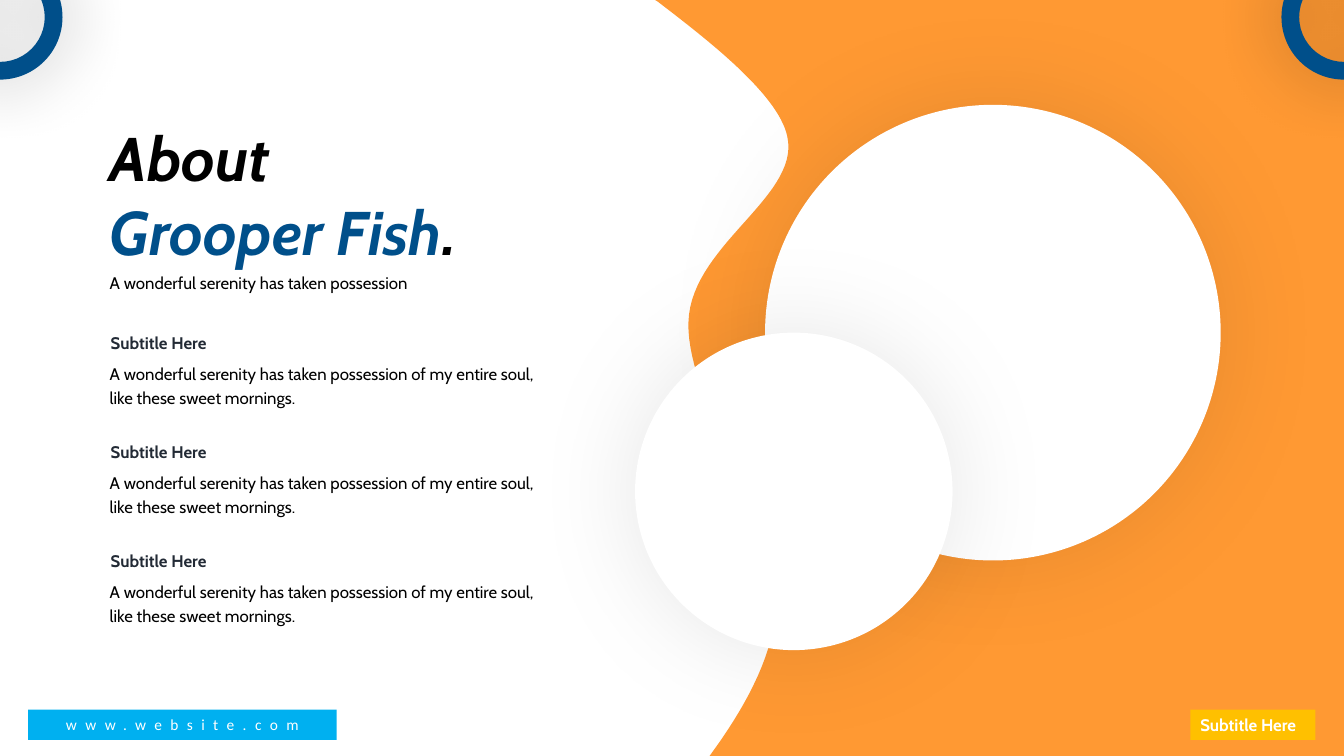
"""Build the "About Grooper Fish." slide with its wave, circles and subtitle list."""
from dataclasses import dataclass
from typing import Optional

from lxml.etree import SubElement
from pptx import Presentation
from pptx.dml.color import RGBColor
from pptx.enum.shapes import MSO_SHAPE as Preset
from pptx.enum.text import MSO_ANCHOR as Anchor, MSO_AUTO_SIZE as Fit, PP_ALIGN as Align
from pptx.oxml.ns import qn
from pptx.util import Inches, Pt

COLUMNS, ROWS = 40, 22.5
CELL = Inches(13.333) / COLUMNS


@dataclass(frozen=True)
class Theme:
    orange: str = "FF9933"
    navy: str = "004F8A"
    sky: str = "00B0F0"
    amber: str = "FFC000"
    slate: str = "222A35"
    black: str = "000000"
    white: str = "FFFFFF"
    font: str = "Cabin"
    link_font: str = "Calibri"
    title_size: int = 44
    body_size: int = 12
    link_size: int = 11


THEME = Theme()


@dataclass(frozen=True)
class Area:
    column: float
    row: float
    columns: float
    rows: float


@dataclass(frozen=True)
class Shadow:
    opacity: int
    blur: int


@dataclass(frozen=True)
class Disc:
    preset: Preset
    area: Area
    color: str
    shadow: Shadow
    ring: Optional[float] = None


@dataclass(frozen=True)
class Style:
    color: str = THEME.black
    size: int = THEME.body_size
    font: str = THEME.font
    bold: bool = False
    italic: bool = False
    spacing: int = 0


@dataclass(frozen=True)
class Note:
    area: Area
    text: str
    style: Style
    leading: float


SOFT = Shadow(9, 77)
DEEP = Shadow(33, 49)
RING_SIZE, RING_TOP, RING_WIDTH = 3.72, -1.35, 0.142
CIRCLES = [
    Disc(Preset.OVAL, Area(22.77, 3.12, 13.56, 13.56), THEME.white, SOFT),
    Disc(Preset.OVAL, Area(18.9, 9.9, 9.45, 9.45), THEME.white, SOFT),
]
RINGS = [
    Disc(Preset.DONUT, Area(center - RING_SIZE / 2, RING_TOP, RING_SIZE, RING_SIZE),
         THEME.navy, DEEP, RING_WIDTH)
    for center in (0, COLUMNS)
]

WAVE_START = (19.59, 0.06)
WAVE_CURVES = [
    ((21.12, 1.23), (23.16, 2.82), (23.43, 4.05)),
    ((23.85, 5.85), (20.55, 7.29), (20.49, 9.6)),
    ((20.43, 11.91), (23.13, 15.57), (23.1, 17.94)),
    ((23.07, 19.41), (22.23, 20.91), (21.42, 22.08)),
]
CURVE_STEPS = 30

LEFT = 2.97
FIRST_ITEM, ITEM_STEP, HEAD_TO_BODY = 9.57, 3.24, 0.99
ITEM_COUNT = 3
INTRO = "A wonderful serenity has taken possession"
ITEM_HEAD = "Subtitle Here"
ITEM_BODY = f"{INTRO} of my entire soul, like these sweet mornings."


def place(shape, area: Area) -> None:
    """Move and size a shape on the grid."""
    shape.left, shape.top = round(area.column * CELL), round(area.row * CELL)
    shape.width, shape.height = round(area.columns * CELL), round(area.rows * CELL)


def paint(shape, color: str) -> None:
    """Give a shape a plain fill with no line or shadow."""
    shape.shadow.inherit = False
    shape.fill.solid()
    shape.fill.fore_color.rgb = RGBColor.from_string(color)
    shape.line.fill.background()


def add_preset(page, preset: Preset, area: Area, color: str):
    """Add a painted preset shape."""
    shape = page.shapes.add_shape(preset, 0, 0, 0, 0)
    place(shape, area)
    paint(shape, color)
    return shape


def add_disc(page, disc: Disc) -> None:
    """Add a circle or ring with a blurred glow of shadow."""
    shape = add_preset(page, disc.preset, disc.area, disc.color)
    if disc.ring is not None:
        shape.adjustments[0] = disc.ring
    effects = shape.element.spPr.find(qn("a:effectLst"))
    outer = SubElement(effects, qn("a:outerShdw"), blurRad=str(Pt(disc.shadow.blur)),
                       dist="0", dir="0", algn="ctr", rotWithShape="0")
    color = SubElement(outer, qn("a:srgbClr"), val=THEME.black)
    SubElement(color, qn("a:alpha"), val=str(disc.shadow.opacity * 1000))


def add_span(para, text: str, style: Style) -> None:
    """Add one styled run to a paragraph."""
    span = para.add_run()
    span.text = text
    span.font.name = style.font
    span.font.size = Pt(style.size)
    span.font.bold, span.font.italic = style.bold, style.italic
    span.font.color.rgb = RGBColor.from_string(style.color)
    if style.spacing:
        span.font._element.set("spc", str(style.spacing * 100))


def add_note(page, note: Note) -> None:
    """Add a wrapped text box with one paragraph."""
    box = page.shapes.add_textbox(0, 0, 0, 0)
    place(box, note.area)
    box.text_frame.word_wrap = True
    box.text_frame.auto_size = Fit.SHAPE_TO_FIT_TEXT
    para = box.text_frame.paragraphs[0]
    para.line_spacing = note.leading
    add_span(para, note.text, note.style)


def add_wave(page) -> None:
    """Add the orange panel with its wavy left edge."""
    points = [WAVE_START]
    for first, second, end in WAVE_CURVES:
        start = points[-1]
        for step in range(1, CURVE_STEPS + 1):
            t = step / CURVE_STEPS
            u = 1 - t
            points.append(tuple(
                u**3 * a + 3 * u * u * t * b + 3 * u * t * t * c + t**3 * d
                for a, b, c, d in zip(start, first, second, end)))
    points += [(21.12, ROWS), (COLUMNS, ROWS), (COLUMNS, 0)]
    outline = page.shapes.build_freeform(round(19.5 * CELL), 0)
    outline.add_line_segments([(round(x * CELL), round(y * CELL)) for x, y in points])
    paint(outline.convert_to_shape(), THEME.orange)


def set_title(page) -> None:
    """Fill and format the title placeholder."""
    title = page.shapes.title
    place(title, Area(LEFT, 3.42, 15.66, 4.74))
    frame = title.text_frame
    frame.word_wrap, frame.vertical_anchor = True, Anchor.TOP
    frame.auto_size = Fit.SHAPE_TO_FIT_TEXT
    lines = [[("About", THEME.black)],
             [("Grooper Fish", THEME.navy), (".", THEME.black)]]
    for index, line in enumerate(lines):
        para = frame.add_paragraph() if index else frame.paragraphs[0]
        para.alignment = Align.LEFT
        for text, color in line:
            add_span(para, text, Style(color, THEME.title_size, bold=True, italic=True))


def add_label(page, area: Area, color: str, text: str, style: Style,
              align: Align, anchor: Anchor, wrap: bool) -> None:
    """Add a filled footer bar with text."""
    bar = add_preset(page, Preset.RECTANGLE, area, color)
    frame = bar.text_frame
    frame.word_wrap, frame.vertical_anchor = wrap, anchor
    frame.paragraphs[0].alignment = align
    add_span(frame.paragraphs[0], text, style)


def main() -> None:
    """Build and save the deck."""
    deck = Presentation()
    deck.slide_width, deck.slide_height = Inches(13.333), Inches(7.5)
    page = deck.slides.add_slide(deck.slide_layouts[5])
    set_title(page)
    add_wave(page)
    for circle in CIRCLES:
        add_disc(page, circle)
    add_note(page, Note(Area(LEFT, 7.68, 13.26, 1.11), INTRO, Style(), 1.5))
    for index in range(ITEM_COUNT):
        row = FIRST_ITEM + index * ITEM_STEP
        add_note(page, Note(Area(LEFT, row + HEAD_TO_BODY, 13.23, 1.68), ITEM_BODY, Style(), 1.2))
        add_note(page, Note(Area(LEFT + 0.03, row, 3.78, 1.02), ITEM_HEAD,
                            Style(THEME.slate, bold=True), 1.3))
    add_label(page, Area(35.43, 21.12, 3.72, 0.9), THEME.amber, ITEM_HEAD,
              Style(THEME.white, bold=True), Align.LEFT, Anchor.TOP, False)
    add_label(page, Area(0.84, 21.12, 9.18, 0.9), THEME.sky, "www.website.com",
              Style(THEME.white, THEME.link_size, THEME.link_font, spacing=6),
              Align.CENTER, Anchor.MIDDLE, True)
    for ring in RINGS:
        add_disc(page, ring)
    deck.save("out.pptx")


if __name__ == "__main__":
    main()
